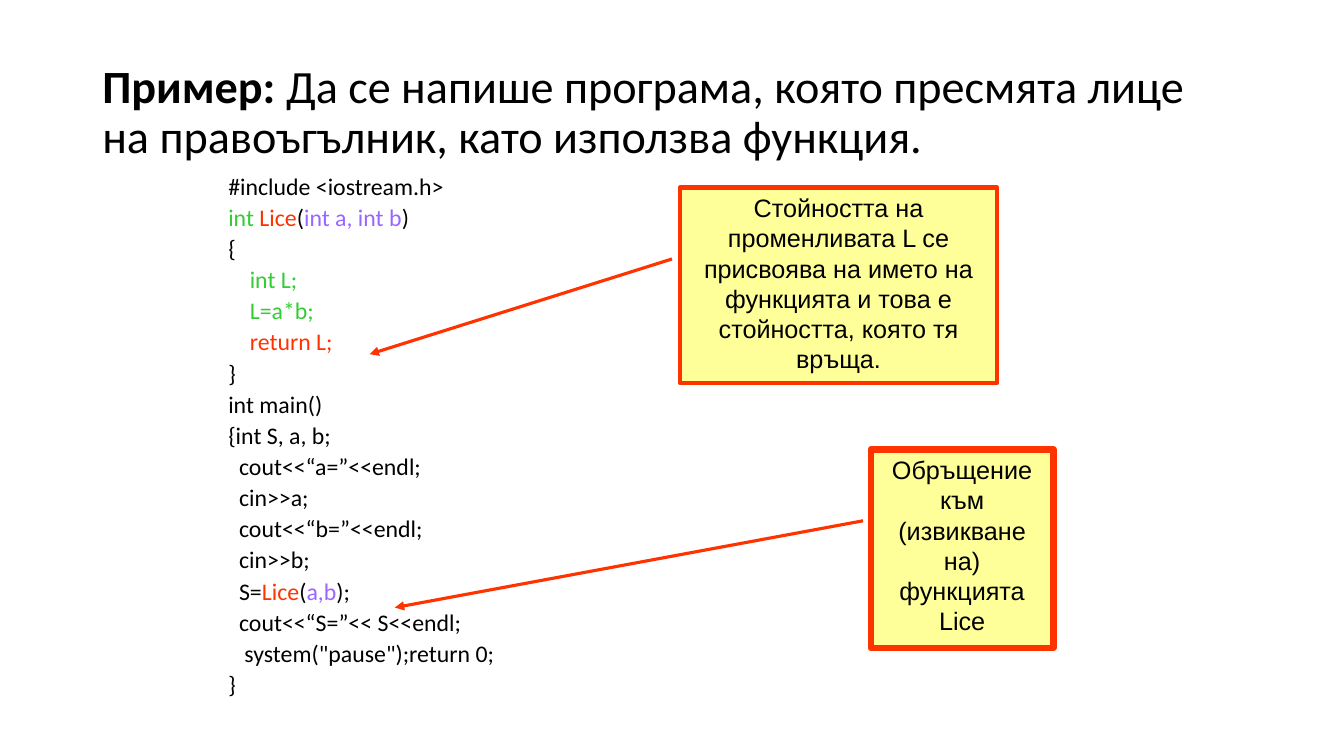
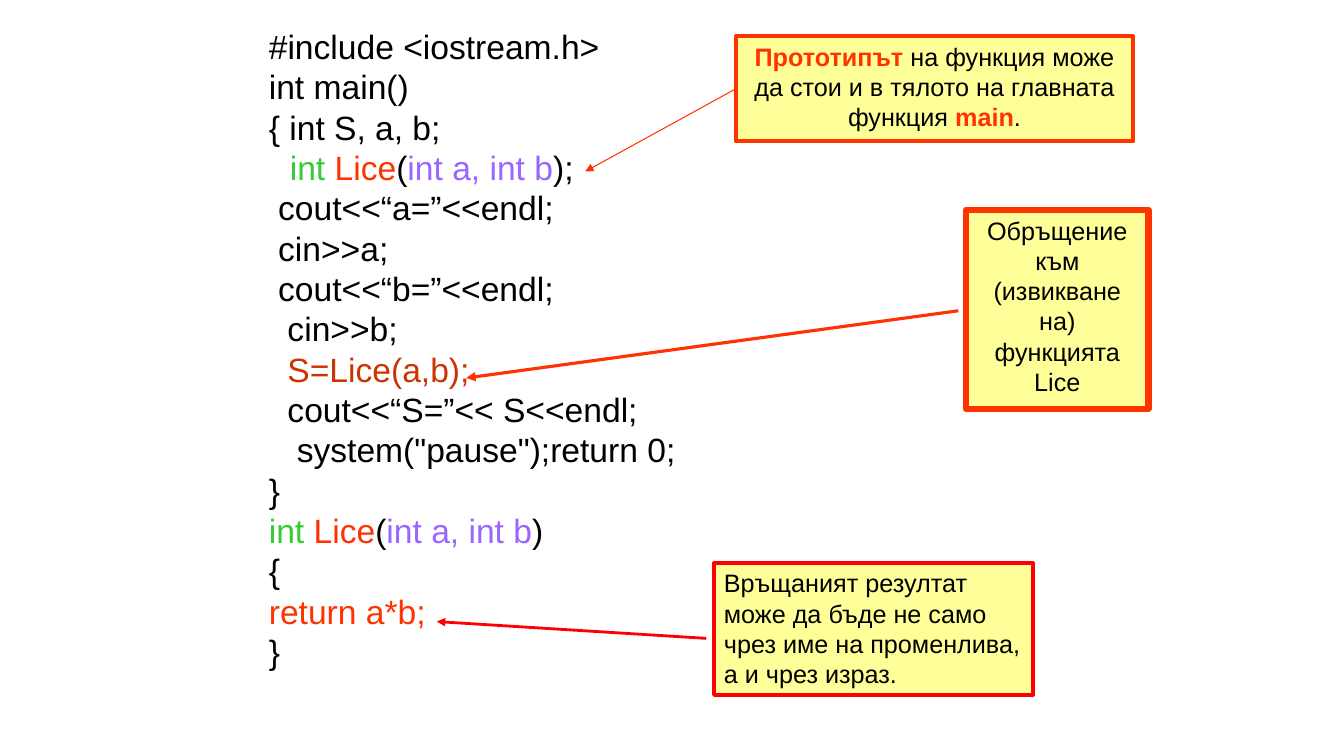
from lxml.etree import SubElement
from pptx import Presentation
from pptx.dml.color import RGBColor
from pptx.enum.shapes import MSO_CONNECTOR, MSO_SHAPE
from pptx.enum.text import MSO_ANCHOR, MSO_AUTO_SIZE, PP_ALIGN
from pptx.oxml.ns import qn
from pptx.util import Pt

BLACK = RGBColor(0x00, 0x00, 0x00)
GREEN = RGBColor(0x33, 0xCC, 0x33)
ORANGE = RGBColor(0xFF, 0x33, 0x00)
RUST = RGBColor(0xCC, 0x33, 0x00)
RED = RGBColor(0xFF, 0x00, 0x00)
PURPLE = RGBColor(0x99, 0x66, 0xFF)
YELLOW = RGBColor(0xFF, 0xFF, 0x99)

ARROW_GAP = 5.5
SIGNATURE = [("int ", GREEN), ("Lice", ORANGE), ("(", BLACK), ("int a, int b", PURPLE)]
CALL_NOTE = [("Обръщение към (извикване на) функцията Lice", BLACK)]

FUNCTION_FIRST = [
    "#include <iostream.h>",
    SIGNATURE + [(")", BLACK)],
    "{",
    [("    int L;", GREEN)],
    [("    L=a*b;", GREEN)],
    [("    return L;", ORANGE)],
    "}",
    "int main()",
    "{int S, a, b;",
    "  cout<<“a=”<<endl;",
    "  cin>>a;",
    "  cout<<“b=”<<endl;",
    "  cin>>b;",
    [("  S=", BLACK), ("Lice", ORANGE), ("(", BLACK), ("a,b", PURPLE), (");", BLACK)],
    "  cout<<“S=”<< S<<endl;",
    '   system("pause");return 0;',
    "}",
]

PROTOTYPE_FIRST = [
    "#include <iostream.h>",
    "int main()",
    "{ int S, a, b;",
    [("   ", GREEN, {"size": 18})] + SIGNATURE + [(");", BLACK)],
    " cout<<“a=”<<endl;",
    " cin>>a;",
    " cout<<“b=”<<endl;",
    "  cin>>b;",
    [("  S=Lice(a,b);", RUST)],
    "  cout<<“S=”<< S<<endl;",
    '   system("pause");return 0;',
    "}",
    SIGNATURE + [(")", BLACK)],
    "{",
    [("return a*b;", ORANGE)],
    "}",
]


def add_span(para, text, color=BLACK, size=18, font="Arial", bold=False):
    """Append formatted text to a paragraph."""
    span = para.add_run()
    span.text = text
    span.font.name = font
    span.font.size = Pt(size)
    span.font.bold = bold
    span.font.color.rgb = color


def write_lines(frame, lines, align=PP_ALIGN.LEFT, spacing=1.0, before=0, **style):
    """Write each line, plain or as coloured spans, as one paragraph."""
    frame.word_wrap = True
    for index, line in enumerate(lines):
        para = frame.add_paragraph() if index else frame.paragraphs[0]
        para.alignment = align
        para.line_spacing = spacing
        para.space_before = Pt(before if index else 0)
        spans = [(line, BLACK)] if isinstance(line, str) else line
        for text, color, *extra in spans:
            add_span(para, text, color, **{**style, **(extra[0] if extra else {})})


def add_text(page, box, lines, anchor=MSO_ANCHOR.TOP, **style):
    """Place a text box holding the given lines."""
    frame = page.shapes.add_textbox(*map(Pt, box)).text_frame
    frame.vertical_anchor = anchor
    write_lines(frame, lines, **style)


def add_arrow(page, start, end, color, width):
    """Draw a straight arrow and return it."""
    arrow = page.shapes.add_connector(MSO_CONNECTOR.STRAIGHT, *map(Pt, (*start, *end)))
    arrow.line.color.rgb = color
    arrow.line.width = Pt(width)
    SubElement(arrow.line._get_or_add_ln(), qn("a:tailEnd"), type="triangle")
    SubElement(arrow._element.spPr, qn("a:effectLst"))
    return arrow


def add_callout(page, box, spans, target, drop=None, border=3, arrow_width=2.25,
                color=ORANGE, align=PP_ALIGN.CENTER):
    """Place a note with an arrow, joined to its side unless a drop is given."""
    left, top, _, height = box
    note = page.shapes.add_shape(MSO_SHAPE.RECTANGLE, *map(Pt, box))
    note.shadow.inherit = False
    note.fill.solid()
    note.fill.fore_color.rgb = YELLOW
    note.line.color.rgb = color
    note.line.width = Pt(border)
    frame = note.text_frame
    frame.vertical_anchor = MSO_ANCHOR.TOP
    write_lines(frame, [spans], align=align)
    frame.auto_size = MSO_AUTO_SIZE.SHAPE_TO_FIT_TEXT
    if drop is None:
        arrow = add_arrow(page, (left, top + height / 2), target, color, arrow_width)
        arrow.begin_connect(note, 1)
    else:
        add_arrow(page, (left - ARROW_GAP, top + drop), target, color, arrow_width)


def build_function_page(page):
    """Show the program whose function is defined before main."""
    task = [("Пример: ", BLACK, {"bold": True}),
            ("Да се напише програма, която пресмята лице на правоъгълник, "
             "като използва функция.", BLACK)]
    add_text(page, (66, 29, 828, 104), [task], anchor=MSO_ANCHOR.MIDDLE,
             spacing=0.9, size=33, font="Calibri")
    add_text(page, (156, 126, 648, 394), FUNCTION_FIRST,
             spacing=0.6, before=10, size=17, font="Calibri")
    value_note = [("Стойността на променливата L се присвоява на името на функцията "
                   "и това е стойността, която тя връща.", BLACK)]
    add_callout(page, (485.5, 134, 227, 139.5), value_note, (264, 253), drop=51)
    add_callout(page, (622, 321, 130.5, 142), CALL_NOTE, (282, 434), drop=51, border=4.5)


def build_prototype_page(page):
    """Show the program whose function is declared inside main."""
    add_text(page, (185, 15, 493, 472), PROTOTYPE_FIRST, size=24)
    prototype_note = [("Прототипът", ORANGE, {"bold": True}),
                      (" на функция може да стои и в тялото на главната функция ", BLACK),
                      ("main", ORANGE, {"bold": True}), (".", BLACK)]
    add_callout(page, (525.5, 26, 284, 75), prototype_note, (418, 122.5), arrow_width=0.75)
    add_callout(page, (690, 150, 130.5, 142), CALL_NOTE, (333, 270), drop=72, border=4.5)
    result_note = [("Връщаният резултат може да бъде не само чрез име на променлива, "
                    "а и чрез израз.", BLACK)]
    add_callout(page, (510, 402, 228, 94.5), result_note, (312, 444), drop=54,
                border=2.5, arrow_width=2, color=RED, align=PP_ALIGN.LEFT)


def main():
    """Build and save the deck."""
    deck = Presentation()
    deck.slide_width, deck.slide_height = Pt(960), Pt(540)
    for build in (build_function_page, build_prototype_page):
        build(deck.slides.add_slide(deck.slide_layouts[6]))
    deck.save("out.pptx")


if __name__ == "__main__":
    main()
